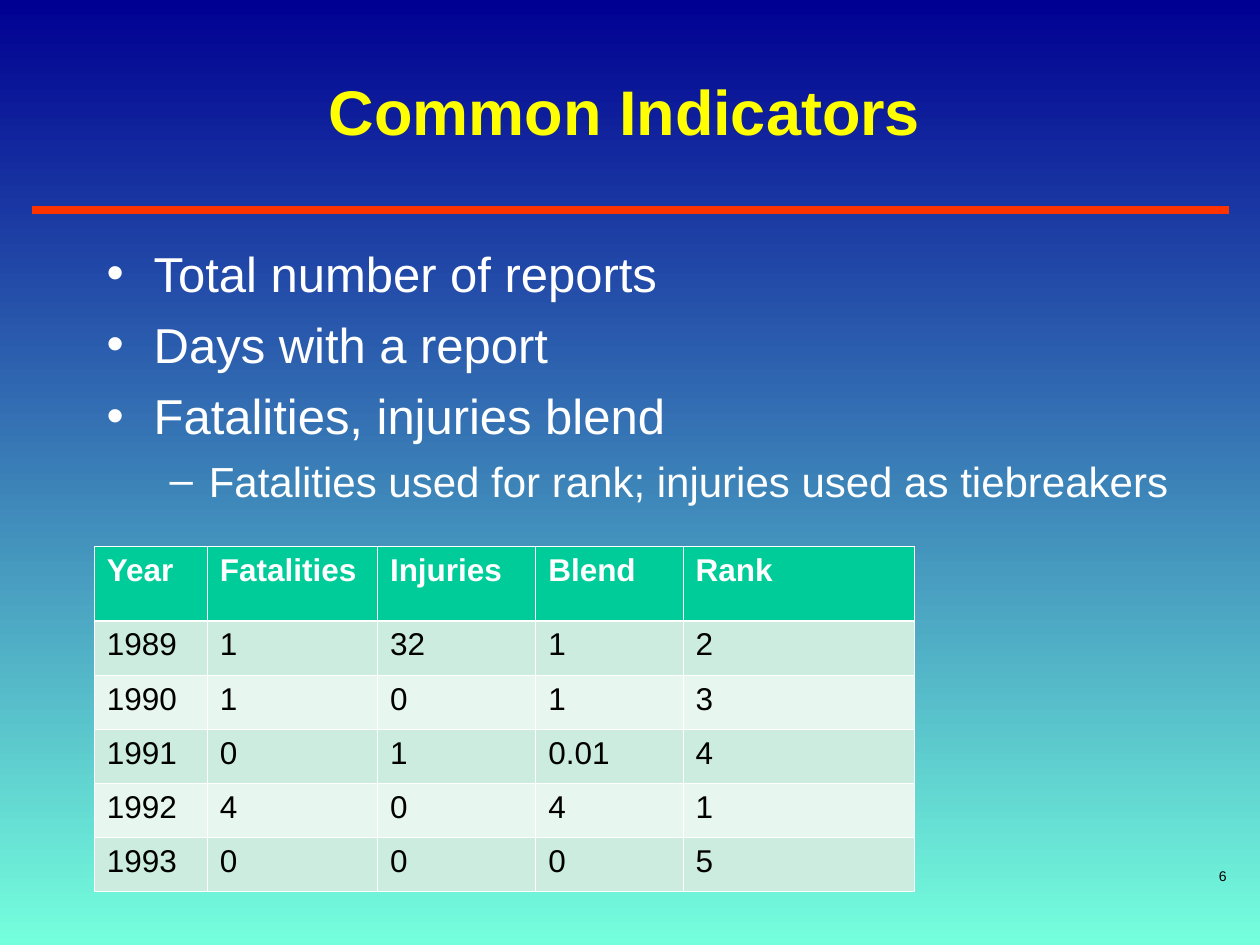
import pptx
import pptx.dml.color
import pptx.enum.shapes
import pptx.enum.text
import pptx.oxml
import pptx.oxml.ns
import pptx.util
from pptx.util import Cm, Pt

FONT = "Arial"
WHITE, BLACK, YELLOW, RED = "FFFFFF", "000000", "FFFF00", "FF3300"
HEADER_FILL, ROW_FILLS = "00CC99", ("CBECDE", "E7F6EF")

INDICATORS = [
    ("Total number of reports", 0),
    ("Days with a report", 0),
    ("Fatalities, injuries blend", 0),
    ("Fatalities used for rank; injuries used as tiebreakers", 1),
]
# For each level: bullet, left indent (cm), hanging (cm), size, space before
LEVELS = [("•", 0.95, 0.95, 28, 7), ("–", 2.06, 0.79, 24, 6)]

RANKING = [
    ("Year", "Fatalities", "Injuries", "Blend", "Rank"),
    ("1989", "1", "32", "1", "2"),
    ("1990", "1", "0", "1", "3"),
    ("1991", "0", "1", "0.01", "4"),
    ("1992", "4", "0", "4", "1"),
    ("1993", "0", "0", "0", "5"),
]
COLUMN_WIDTHS = (2.28, 3.43, 3.19, 2.97, 4.66)
HEADER_HEIGHT, ROW_HEIGHT = 1.5, 1.09


def rgb(color):
    return pptx.dml.color.RGBColor.from_string(color)


def style(paragraph, size, color, bold=False):
    font = paragraph.font
    font.name, font.size, font.bold = FONT, Pt(size), bold
    font.color.rgb = rgb(color)


def add_xml(parent, xml):
    """Append a DrawingML fragment written with the a: prefix."""
    tag, rest = xml.split(" ", 1)
    declaration = pptx.oxml.ns.nsdecls("a")
    parent.append(pptx.oxml.parse_xml(f"{tag} {declaration} {rest}"))


def add_background(slide):
    fill = slide.background.fill
    fill.gradient()
    fill.gradient_angle = 270
    for stop, color, position in zip(fill.gradient_stops, ("000092", "75FFDD"), (0, 1)):
        stop.color.rgb = rgb(color)
        stop.position = position


def add_rule(slide, left, top, width):
    rule = slide.shapes.add_connector(
        pptx.enum.shapes.MSO_CONNECTOR.STRAIGHT,
        Cm(left), Cm(top), Cm(left + width), Cm(top))
    rule.line.color.rgb = rgb(RED)
    rule.line.width = Pt(4.5)
    add_xml(rule._element.spPr, "<a:effectLst />")


def add_text_frame(slide, left, top, width, height):
    frame = slide.shapes.add_textbox(Cm(left), Cm(top), Cm(width), Cm(height)).text_frame
    frame.word_wrap = True
    return frame


def add_title(slide, left, top, width, height):
    frame = add_text_frame(slide, left, top, width, height)
    frame.vertical_anchor = pptx.enum.text.MSO_ANCHOR.MIDDLE
    title = frame.paragraphs[0]
    title.text = "Common Indicators"
    title.alignment = pptx.enum.text.PP_ALIGN.CENTER
    style(title, 36, YELLOW, bold=True)


def add_indicators(slide, left, top, width, height):
    frame = add_text_frame(slide, left, top, width, height)
    frame.margin_top = Cm(0.25)
    for index, (text, level) in enumerate(INDICATORS):
        bullet, indent, hanging, size, space = LEVELS[level]
        item = frame.add_paragraph() if index else frame.paragraphs[0]
        item.text = text
        item.level = level
        if index:
            item.space_before = Pt(space)
        properties = item._p.get_or_add_pPr()
        properties.set("marL", str(Cm(indent)))
        properties.set("indent", str(-Cm(hanging)))
        add_xml(properties, f'<a:buClr ><a:srgbClr val="{WHITE}"/></a:buClr>')
        add_xml(properties, f'<a:buFont typeface="{FONT}"/>')
        add_xml(properties, f'<a:buChar char="{bullet}"/>')
        style(item, size, WHITE)


def add_page_number(slide, left, top, width, height):
    number = add_text_frame(slide, left, top, width, height).paragraphs[0]
    number.text = "6"
    number.alignment = pptx.enum.text.PP_ALIGN.RIGHT
    style(number, 8, BLACK)


def set_borders(cell, top, bottom):
    """Draw white cell borders; top and bottom are widths in points."""
    properties = cell._tc.get_or_add_tcPr()
    for side, width in (("L", 0.45), ("R", 0.45), ("T", top), ("B", bottom)):
        add_xml(properties, f'<a:ln{side} w="{Pt(width)}"><a:solidFill>'
                            f'<a:srgbClr val="{WHITE}"/></a:solidFill></a:ln{side}>')


def add_ranking(slide, left, top):
    height = HEADER_HEIGHT + ROW_HEIGHT * (len(RANKING) - 1)
    table = slide.shapes.add_table(
        len(RANKING), len(COLUMN_WIDTHS), Cm(left), Cm(top),
        Cm(sum(COLUMN_WIDTHS)), Cm(height)).table
    for column, width in zip(table.columns, COLUMN_WIDTHS):
        column.width = Cm(width)
    for row_index, values in enumerate(RANKING):
        header = row_index == 0
        table.rows[row_index].height = Cm(HEADER_HEIGHT if header else ROW_HEIGHT)
        for column_index, value in enumerate(values):
            cell = table.cell(row_index, column_index)
            cell.text = value
            style(cell.text_frame.paragraphs[0], 18, WHITE if header else BLACK, header)
            set_borders(cell, top=1.47 if row_index == 1 else 0.45,
                        bottom=1.47 if header else 0.45)
            cell.fill.solid()
            cell.fill.fore_color.rgb = rgb(
                HEADER_FILL if header else ROW_FILLS[(row_index - 1) % 2])


def main():
    presentation = pptx.Presentation()
    presentation.slide_width, presentation.slide_height = Cm(25.4), Cm(19.05)
    slide = presentation.slides.add_slide(presentation.slide_layouts[6])
    add_background(slide)
    add_rule(slide, 0.64, 4.23, 24.13)
    add_title(slide, 4.02, 0.64, 17.15, 3.18)
    add_indicators(slide, 1.9, 4.66, 23.07, 6.22)
    add_page_number(slide, 19.69, 17.36, 5.29, 1.27)
    add_ranking(slide, 1.9, 11.02)
    presentation.save("out.pptx")


if __name__ == "__main__":
    main()
